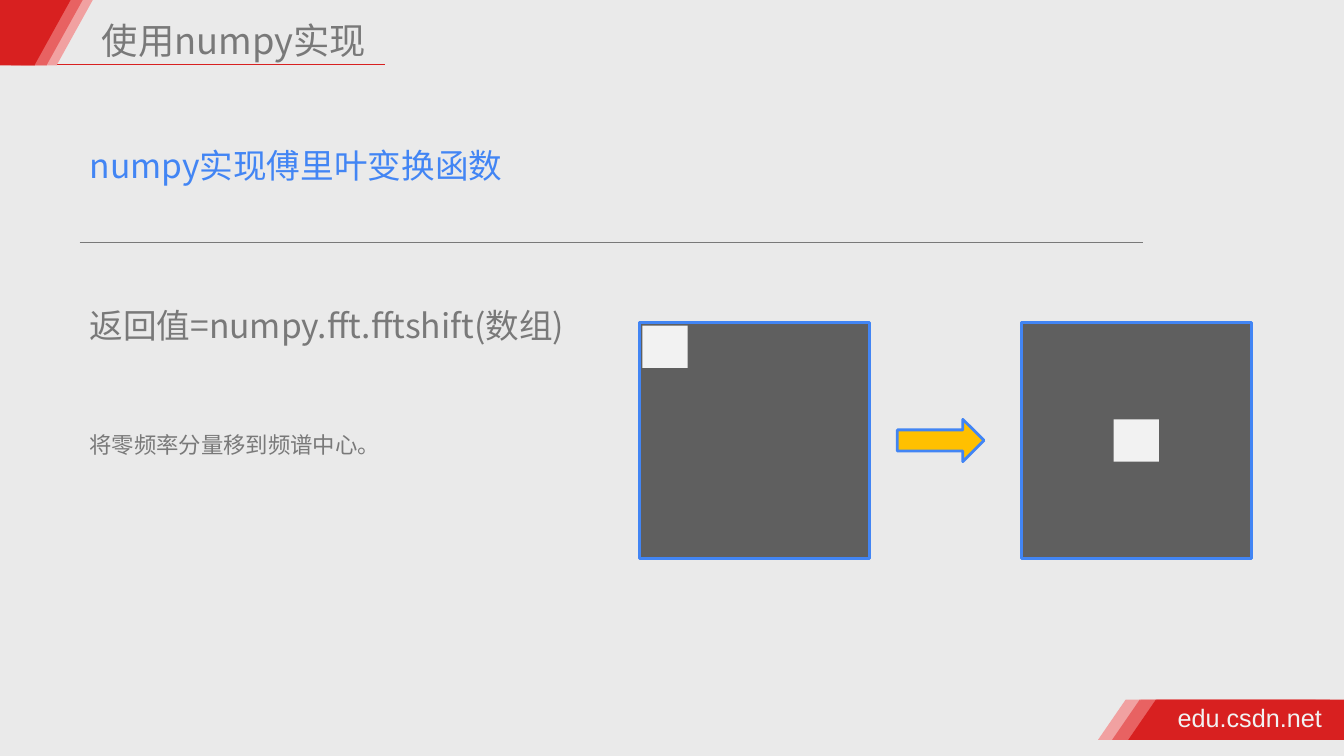
from lxml import etree
from pptx import Presentation
from pptx.dml.color import RGBColor
from pptx.enum.shapes import MSO_CONNECTOR, MSO_SHAPE
from pptx.oxml.ns import qn
from pptx.util import Inches, Pt

RED = RGBColor(0xD8, 0x20, 0x20)
CORAL = RGBColor(0xE8, 0x62, 0x62)
PINK = RGBColor(0xF1, 0xA1, 0xA1)
BLUE = RGBColor(0x42, 0x85, 0xF4)
GRAY = RGBColor(0x79, 0x79, 0x79)
DARK = RGBColor(0x5F, 0x5F, 0x5F)
LIGHT = RGBColor(0xF2, 0xF2, 0xF2)
AMBER = RGBColor(0xFF, 0xC0, 0x00)
BACK = RGBColor(0xEA, 0xEA, 0xEA)
CJK = "Noto Sans CJK SC"

prs = Presentation()
prs.slide_width, prs.slide_height = Inches(13.33), Inches(7.5)
s = prs.slides.add_slide(prs.slide_layouts[6])
s.background.fill.solid()
s.background.fill.fore_color.rgb = BACK


def add_shape(kind, x, y, w, h, fill, line_width=0):
    sp = s.shapes.add_shape(kind, Inches(x), Inches(y), Inches(w), Inches(h))
    sp.shadow.inherit = False
    sp.fill.solid()
    sp.fill.fore_color.rgb = fill
    if line_width:
        sp.line.color.rgb = BLUE
        sp.line.width = Pt(line_width)
    else:
        sp.line.fill.background()
    return sp


def add_text(text, x, y, w, h, size, color, font=CJK, side=0.1, top=0.08):
    tf = s.shapes.add_textbox(Inches(x), Inches(y), Inches(w), Inches(h)).text_frame
    tf.word_wrap = True
    tf.margin_left = tf.margin_right = Inches(side)
    tf.margin_top, tf.margin_bottom = Inches(top), Inches(0.05)
    p = tf.paragraphs[0]
    p.text = text
    p.font.size, p.font.name, p.font.color.rgb = Pt(size), font, color
    if font == CJK:
        p.line_spacing = Pt(size * 1.2)
        r_pr = p.runs[0].font._element
        etree.SubElement(r_pr, qn("a:ea"), typeface=CJK)


# Rules under the title and the heading
for x1, x2, y, color, width in ((0.49, 3.82, 0.64, RED, 1), (0.79, 11.34, 2.41, GRAY, 0.75)):
    rule = s.shapes.add_connector(MSO_CONNECTOR.STRAIGHT, Inches(x1), Inches(y), Inches(x2), Inches(y))
    rule.line.color.rgb = color
    rule.line.width = Pt(width)
    etree.SubElement(rule._element.spPr, qn("a:effectLst"))

# Slanted bands: bottom right, then top left
for x, color in ((10.89, PINK), (11.03, CORAL), (11.19, RED)):
    add_shape(MSO_SHAPE.RECTANGLE, x + 0.28, 6.94, 1.88, 0.4, color)
    add_shape(MSO_SHAPE.ISOSCELES_TRIANGLE, x, 6.94, 0.55, 0.4, color)
for x, color in ((0.2, PINK), (0.1, CORAL), (-0.02, RED)):
    add_shape(MSO_SHAPE.RECTANGLE, x + 0.01, 0, 0.35, 0.65, color)
    add_shape(MSO_SHAPE.ISOSCELES_TRIANGLE, x, 0, 0.72, 0.65, color).rotation = 180

add_text("edu.csdn.net", 11.63, 6.92, 1.6, 0.4, 18, LIGHT, "Arial", 0.05, 0.05)
add_text("使用numpy实现", 0.96, 0.05, 3.86, 0.56, 25.9, GRAY, side=0.05, top=0.13)
add_text("numpy实现傅里叶变换函数", 0.79, 1.36, 4.7, 0.5, 24, BLUE)
add_text("返回值=numpy.fft.fftshift(数组)", 0.79, 2.95, 5.06, 0.5, 24, GRAY)
add_text("将零频率分量移到频谱中心。", 0.79, 4.2, 3.3, 0.37, 16, GRAY)

# Spectrum before and after the shift: zero frequency in the corner, then in the centre
side_w, side_h, dot_w, dot_h = 2.28, 2.34, 0.45, 0.42
for x, dx, dy in ((6.34, 0.03, 0.03), (10.13, (side_w - dot_w) / 2, (side_h - dot_h) / 2)):
    add_shape(MSO_SHAPE.RECTANGLE, x, 3.2, side_w, side_h, DARK, 2.25)
    add_shape(MSO_SHAPE.RECTANGLE, x + dx, 3.2 + dy, dot_w, dot_h, LIGHT)
add_shape(MSO_SHAPE.RIGHT_ARROW, 8.9, 4.16, 0.86, 0.42, AMBER, 2)

prs.save("out.pptx")
